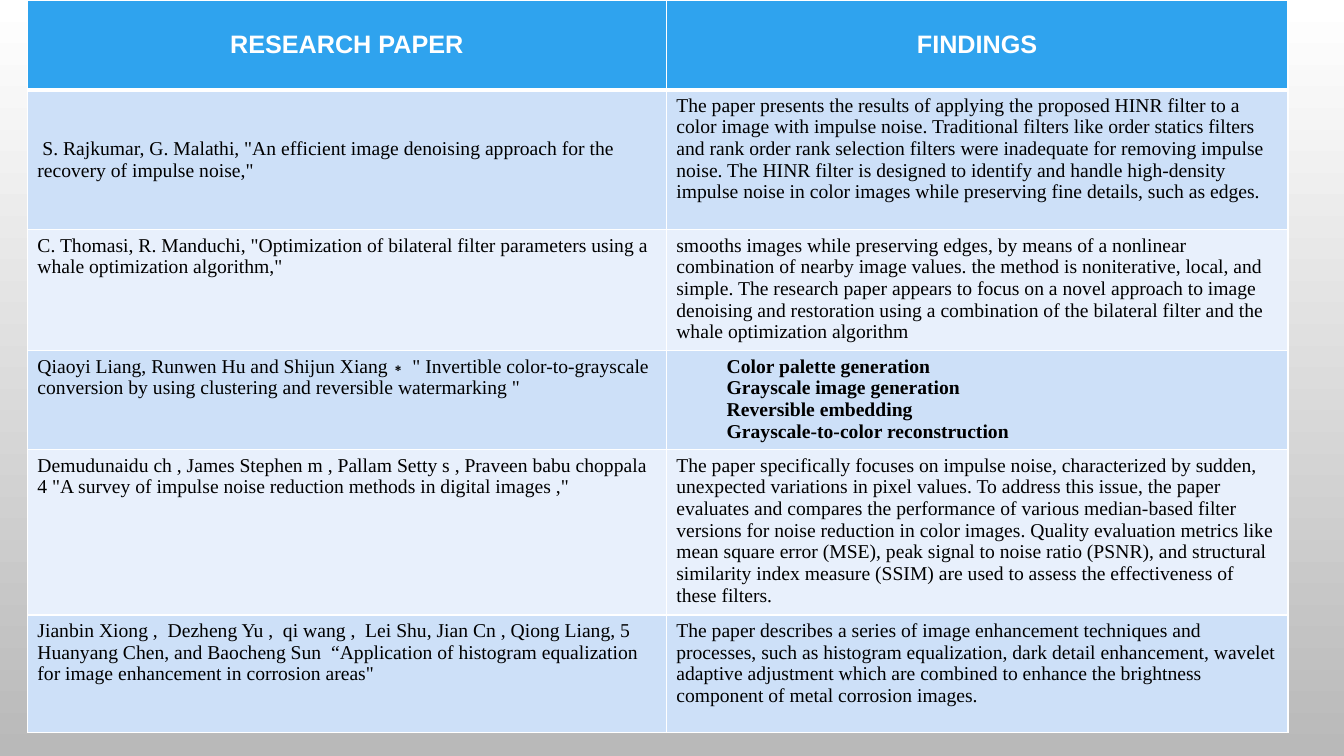
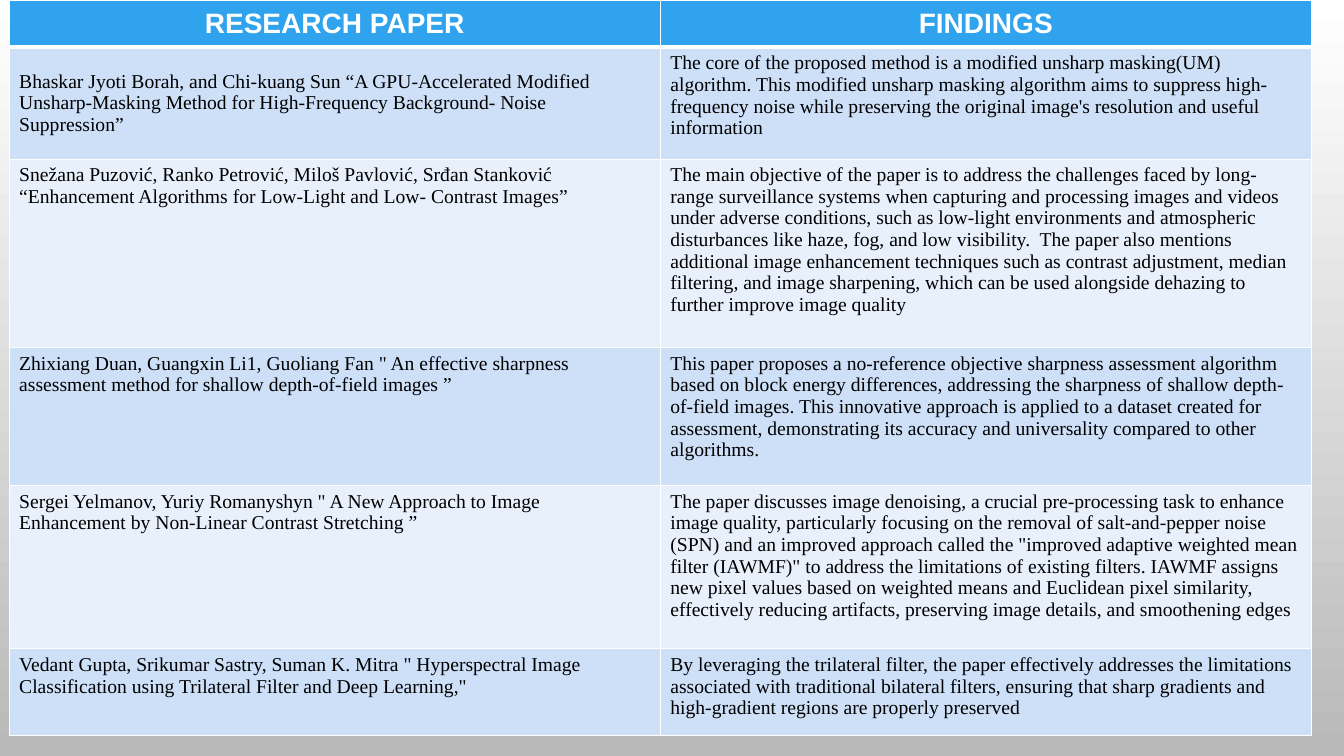
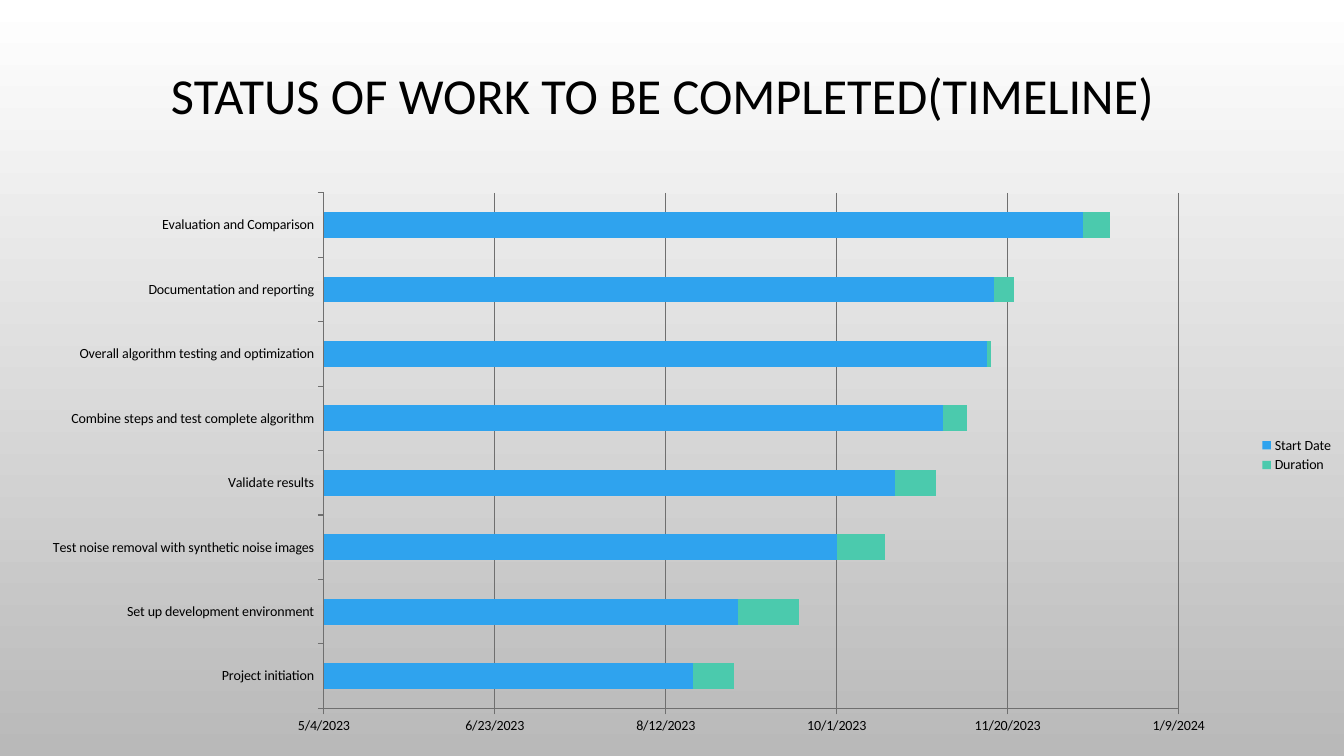
from dataclasses import dataclass

from lxml.etree import SubElement
from pptx import Presentation
from pptx.chart.data import CategoryChartData
from pptx.dml.color import RGBColor
from pptx.enum.chart import XL_CHART_TYPE, XL_LEGEND_POSITION, XL_TICK_MARK
from pptx.enum.text import MSO_ANCHOR, PP_ALIGN
from pptx.oxml.ns import qn
from pptx.util import Cm, Pt


@dataclass(frozen=True)
class Theme:
    top: RGBColor = RGBColor.from_string("FFFFFF")
    bottom: RGBColor = RGBColor.from_string("B9B9B9")
    ink: RGBColor = RGBColor.from_string("000000")
    white: RGBColor = RGBColor.from_string("FFFFFF")
    accent: RGBColor = RGBColor.from_string("2FA3EE")
    second: RGBColor = RGBColor.from_string("4BCAAD")
    grid: RGBColor = RGBColor.from_string("6F6F6F")
    bands: tuple = (RGBColor.from_string("CDE0F8"), RGBColor.from_string("E8F0FC"))
    head_font: str = "Arial"
    body_font: str = "Times New Roman"
    title_font: str = "Calibri"
    body_size: int = 14
    title_size: int = 36
    chart_size: int = 10


THEME = Theme()

# Content: a list in a cell becomes indented bold lines
HEADINGS = ("RESEARCH PAPER", "FINDINGS")

TABLES = [
    {
        "left": 0.69,
        "columns": (16.1, 15.67),
        "rows": (2.26, 3.53, 3.05, 2.49, 4.17, 2.95),
        "head_size": 18,
        "papers": [
            (" S. Rajkumar, G. Malathi, \"An efficient image denoising approach for the "
             "recovery of impulse noise,\"",
             "The paper presents the results of applying the proposed HINR filter to a color "
             "image with impulse noise. Traditional filters like order statics filters and rank "
             "order rank selection filters were inadequate for removing impulse noise. The HINR "
             "filter is designed to identify and handle high-density impulse noise in color "
             "images while preserving fine details, such as edges."),
            ("C. Thomasi, R. Manduchi, \"Optimization of bilateral filter parameters using a "
             "whale optimization algorithm,\"",
             "smooths images while preserving edges, by means of a nonlinear combination of "
             "nearby image values. the method is noniterative, local, and simple. The research "
             "paper appears to focus on a novel approach to image denoising and restoration "
             "using a combination of the bilateral filter and the whale optimization algorithm"),
            ("Qiaoyi Liang, Runwen Hu and Shijun Xiang∗ \" Invertible color-to-grayscale "
             "conversion by using clustering and reversible watermarking \"",
             ["Color palette generation", "Grayscale image generation",
              "Reversible embedding", "Grayscale-to-color reconstruction"]),
            ("Demudunaidu ch , James Stephen m , Pallam Setty s , Praveen babu choppala 4 "
             "\"A survey of impulse noise reduction methods in digital images ,\"",
             "The paper specifically focuses on impulse noise, characterized by sudden, "
             "unexpected variations in pixel values. To address this issue, the paper evaluates "
             "and compares the performance of various median-based filter versions for noise "
             "reduction in color images. Quality evaluation metrics like mean square error "
             "(MSE), peak signal to noise ratio (PSNR), and structural similarity index measure "
             "(SSIM) are used to assess the effectiveness of these filters."),
            ("Jianbin Xiong ,  Dezheng Yu ,  qi wang ,  Lei Shu, Jian Cn , Qiong Liang, 5 "
             "Huanyang Chen, and Baocheng Sun  “Application of histogram equalization for image "
             "enhancement in corrosion areas\"",
             "The paper describes a series of image enhancement techniques and processes, such "
             "as histogram equalization, dark detail enhancement, wavelet adaptive adjustment "
             "which are combined to enhance the brightness component of metal corrosion images."),
        ],
    },
    {
        "left": 0.23,
        "columns": (16.41, 16.41),
        "rows": (1.19, 2.82, 4.75, 3.48, 4.11, 2.18),
        "head_size": 20,
        "papers": [
            ("Bhaskar Jyoti Borah, and Chi-kuang Sun “A GPU-Accelerated Modified "
             "Unsharp-Masking Method for High-Frequency Background- Noise Suppression”",
             "The core of the proposed method is a modified unsharp masking(UM) algorithm. This "
             "modified unsharp masking algorithm aims to suppress high-frequency noise while "
             "preserving the original image's resolution and useful information"),
            ("Snežana Puzović, Ranko Petrović, Miloš Pavlović, Srđan Stanković “Enhancement "
             "Algorithms for Low-Light and Low- Contrast Images”",
             "The main objective of the paper is to address the challenges faced by long-range "
             "surveillance systems when capturing and processing images and videos under "
             "adverse conditions, such as low-light environments and atmospheric disturbances "
             "like haze, fog, and low visibility.  The paper also mentions additional image "
             "enhancement techniques such as contrast adjustment, median filtering, and image "
             "sharpening, which can be used alongside dehazing to further improve image quality"),
            ("Zhixiang Duan, Guangxin Li1, Guoliang Fan \" An effective sharpness assessment "
             "method for shallow depth-of-field images ”",
             "This paper proposes a no-reference objective sharpness assessment algorithm based "
             "on block energy differences, addressing the sharpness of shallow depth-of-field "
             "images. This innovative approach is applied to a dataset created for assessment, "
             "demonstrating its accuracy and universality compared to other algorithms."),
            ("Sergei Yelmanov, Yuriy Romanyshyn \" A New Approach to Image Enhancement by "
             "Non-Linear Contrast Stretching ”",
             "The paper discusses image denoising, a crucial pre-processing task to enhance "
             "image quality, particularly focusing on the removal of salt-and-pepper noise "
             "(SPN) and an improved approach called the \"improved adaptive weighted mean "
             "filter (IAWMF)\" to address the limitations of existing filters. IAWMF assigns new "
             "pixel values based on weighted means and Euclidean pixel similarity, effectively "
             "reducing artifacts, preserving image details, and smoothening edges"),
            ("Vedant Gupta, Srikumar Sastry, Suman K. Mitra \" Hyperspectral Image "
             "Classification using Trilateral Filter and Deep Learning,\"",
             "By leveraging the trilateral filter, the paper effectively addresses the "
             "limitations associated with traditional bilateral filters, ensuring that sharp "
             "gradients and high-gradient regions are properly preserved"),
        ],
    },
]

TIMELINE_TITLE = "STATUS OF WORK TO BE COMPLETED(TIMELINE)"

# Task, start as a day serial number, length in days
TASKS = [
    ("Project initiation", 45158, 12),
    ("Set up development environment", 45171, 18),
    ("Test noise removal with synthetic noise images", 45200, 14),
    ("Validate results", 45217, 12),
    ("Combine steps and test complete algorithm", 45231, 7),
    ("Overall algorithm testing and optimization", 45244, 1),
    ("Documentation and reporting", 45246, 6),
    ("Evaluation and Comparison", 45272, 8),
]
FIRST_DAY, LAST_DAY, DAY_STEP = 45050, 45300, 50
PLOT_AREA = {"x": 0.241, "y": 0.064, "w": 0.636, "h": 0.857}


# Shared helpers
def style_font(font, name, size, color, bold=False):
    font.name, font.size, font.bold = name, Pt(size), bold
    font.color.rgb = color


def add_slide(deck):
    return deck.slides.add_slide(deck.slide_layouts[6])


def set_border(cell, side, points):
    line = SubElement(cell._tc.get_or_add_tcPr(), qn(f"a:ln{side}"), w=str(Pt(points)))
    fill = SubElement(line, qn("a:solidFill"))
    SubElement(fill, qn("a:srgbClr"), val=str(THEME.white))


def fill_cell(cell, content, fill, borders):
    for side, points in borders.items():
        set_border(cell, side, points)
    cell.fill.solid()
    cell.fill.fore_color.rgb = fill
    is_list = isinstance(content, list)
    cell.text_frame.text = "\n".join(content) if is_list else content
    for para in cell.text_frame.paragraphs:
        if is_list:
            para.level = 1
            properties = para._p.get_or_add_pPr()
            properties.set("marL", str(Cm(1.27)))
            properties.set("indent", "0")
        for span in para.runs:
            style_font(span.font, THEME.body_font, THEME.body_size, THEME.ink, is_list)


# Table slides
def add_findings_slide(deck, layout):
    widths, heights = layout["columns"], layout["rows"]
    frame = add_slide(deck).shapes.add_table(
        len(heights), len(widths), Cm(layout["left"]), 0, Cm(sum(widths)), Cm(sum(heights)))
    table = frame.table
    for column, width in zip(table.columns, widths):
        column.width = Cm(width)
    for row, height in zip(table.rows, heights):
        row.height = Cm(height)

    for cell, heading in zip(table.rows[0].cells, HEADINGS):
        fill_cell(cell, heading, THEME.accent, {"L": 1, "R": 1, "T": 1, "B": 3})
        cell.vertical_anchor = MSO_ANCHOR.MIDDLE
        para = cell.text_frame.paragraphs[0]
        para.alignment = PP_ALIGN.CENTER
        style_font(para.runs[0].font, THEME.head_font, layout["head_size"], THEME.white, True)

    for index, paper in enumerate(layout["papers"]):
        for cell, content in zip(table.rows[index + 1].cells, paper):
            fill_cell(cell, content, THEME.bands[index % 2], {"L": 1, "R": 1, "B": 1})
    table.cell(1, 0).vertical_anchor = MSO_ANCHOR.MIDDLE


# Timeline slide
def place_plot(chart):
    plot_area = chart._chartSpace.chart.plotArea
    for old in plot_area.findall(qn("c:layout")):
        plot_area.remove(old)
    layout = SubElement(plot_area, qn("c:layout"))
    plot_area.insert(0, layout)
    manual = SubElement(layout, qn("c:manualLayout"))
    settings = {"layoutTarget": "inner", "xMode": "edge", "yMode": "edge", **PLOT_AREA}
    for tag, value in settings.items():
        SubElement(manual, qn(f"c:{tag}"), val=str(value))


def add_timeline_chart(slide):
    names, starts, durations = zip(*TASKS)
    data = CategoryChartData()
    data.categories = names
    data.add_series("Start Date", starts, "m/d/yyyy")
    data.add_series("Duration", durations, "General")
    chart = slide.shapes.add_chart(XL_CHART_TYPE.BAR_STACKED, 0, Cm(3.89),
                                   Cm(33.87), Cm(15.16), data).chart
    chart.has_title = False
    style_font(chart.font, THEME.title_font, THEME.chart_size, THEME.ink)
    chart.has_legend = True
    chart.legend.position = XL_LEGEND_POSITION.RIGHT
    chart.legend.include_in_layout = False

    plot = chart.plots[0]
    plot.gap_width, plot.overlap, plot.vary_by_categories = 150, 100, False
    for series, color in zip(plot.series, (THEME.accent, THEME.second)):
        series.format.fill.solid()
        series.format.fill.fore_color.rgb = color

    days = chart.value_axis
    days.minimum_scale, days.maximum_scale, days.major_unit = FIRST_DAY, LAST_DAY, DAY_STEP
    days.tick_labels.number_format = "m/d/yyyy"
    days.tick_labels.number_format_is_linked = False
    days.has_major_gridlines = True
    chart.category_axis.has_major_gridlines = False
    for axis in (days, chart.category_axis):
        axis.major_tick_mark = XL_TICK_MARK.OUTSIDE
    for lines in (days, chart.category_axis, days.major_gridlines):
        lines.format.line.color.rgb = THEME.grid
        lines.format.line.width = Pt(0.75)
    place_plot(chart)


def add_timeline_slide(deck):
    slide = add_slide(deck)
    add_timeline_chart(slide)
    box = slide.shapes.add_textbox(Cm(2.31), Cm(0.25), Cm(28.78), Cm(4.45))
    box.text_frame.word_wrap = True
    box.text_frame.vertical_anchor = MSO_ANCHOR.MIDDLE
    box.text_frame.text = TIMELINE_TITLE
    para = box.text_frame.paragraphs[0]
    para.alignment, para.line_spacing = PP_ALIGN.CENTER, 0.9
    style_font(para.runs[0].font, THEME.title_font, THEME.title_size, THEME.ink)


def main():
    deck = Presentation()
    deck.slide_width, deck.slide_height = Cm(33.87), Cm(19.05)

    # Shared background: vertical gradient on the master
    background = deck.slide_master.background.fill
    background.gradient()
    background.gradient_angle = 270
    for stop, color in zip(background.gradient_stops, (THEME.top, THEME.bottom)):
        stop.color.rgb = color

    for layout in TABLES:
        add_findings_slide(deck, layout)
    add_timeline_slide(deck)
    deck.save("out.pptx")


if __name__ == "__main__":
    main()
